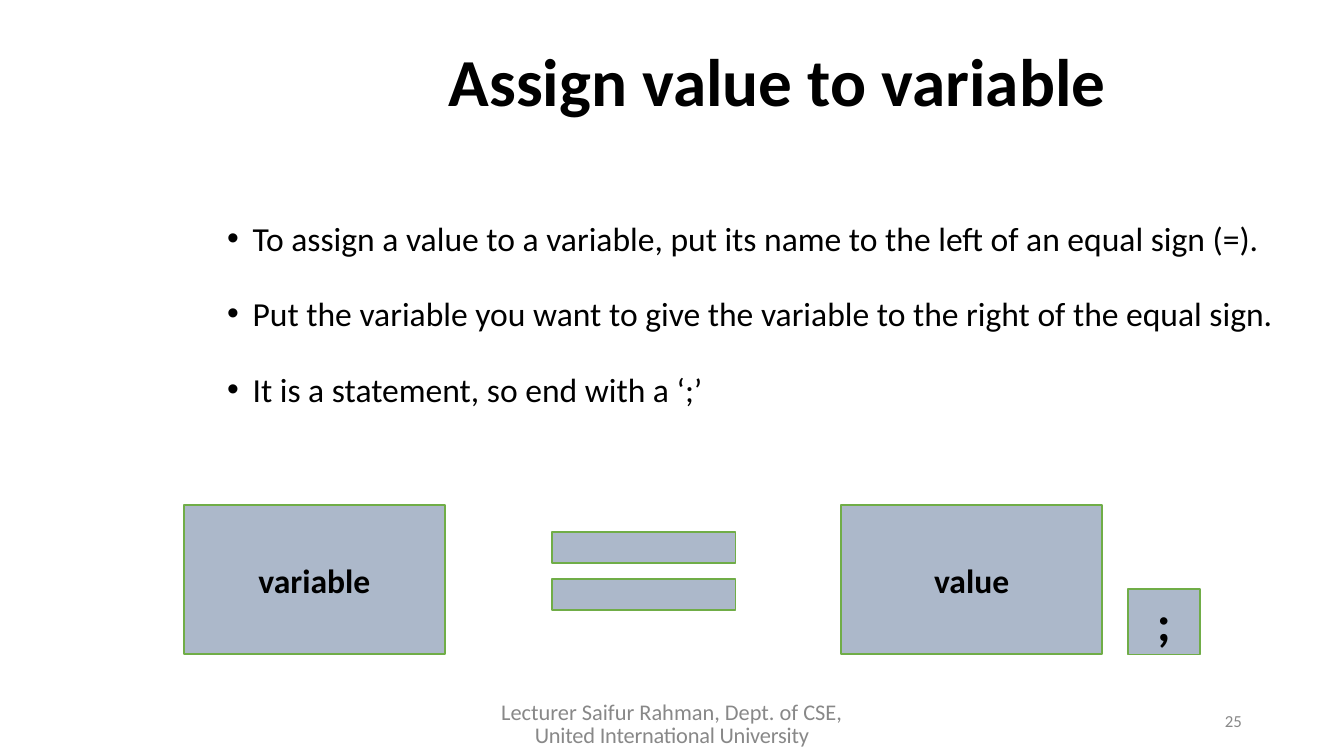
from dataclasses import dataclass

from lxml.etree import SubElement
from pptx import Presentation
from pptx.dml.color import RGBColor
from pptx.enum.shapes import MSO_SHAPE
from pptx.enum.text import MSO_ANCHOR, PP_ALIGN
from pptx.oxml.ns import qn
from pptx.shapes.autoshape import Shape
from pptx.slide import Slide
from pptx.text.text import TextFrame, _Paragraph, _Run
from pptx.util import Inches, Pt


@dataclass(frozen=True)
class Theme:
    font: str = "Calibri"
    ink: RGBColor = RGBColor(0x00, 0x00, 0x00)
    muted: RGBColor = RGBColor(0x88, 0x88, 0x88)
    fill: RGBColor = RGBColor(0xAC, 0xB8, 0xCA)
    outline: RGBColor = RGBColor(0x70, 0xAD, 0x47)
    title_size: int = 36
    body_size: int = 18
    semicolon_size: int = 27
    footer_size: int = 12
    number_size: int = 9


@dataclass(frozen=True)
class Area:
    left: float
    top: float
    width: float
    height: float


@dataclass(frozen=True)
class Block:
    text: str
    area: Area
    size: int


THEME = Theme()
BLOCK_TOP, BLOCK_WIDTH, BLOCK_HEIGHT = 3.76, 1.94, 1.11
BLOCKS = [
    Block("variable", Area(1.37, BLOCK_TOP, BLOCK_WIDTH, BLOCK_HEIGHT), THEME.body_size),
    Block("value", Area(6.26, BLOCK_TOP, BLOCK_WIDTH, BLOCK_HEIGHT), THEME.body_size),
    Block(";", Area(8.39, 4.38, 0.54, 0.49), THEME.semicolon_size),
]
BULLETS = [
    "To assign a value to a variable, put its name to the left of an equal sign (=).",
    "Put the variable you want to give the variable to the right of the equal sign.",
    "It is a statement, so end with a ‘;’",
]


def place(shape: Shape, area: Area) -> None:
    shape.left, shape.top = Inches(area.left), Inches(area.top)
    shape.width, shape.height = Inches(area.width), Inches(area.height)


def set_frame(frame: TextFrame, anchor: MSO_ANCHOR, side: float = 0.07, top: float = 0.04) -> None:
    frame.word_wrap = True
    frame.vertical_anchor = anchor
    frame.margin_left = frame.margin_right = Inches(side)
    frame.margin_top = Inches(top)
    frame.margin_bottom = Inches(min(top, 0.04))


def add_span(para: _Paragraph, text: str, size: int, color: RGBColor, bold: bool = False) -> _Run:
    span = para.add_run()
    span.text = text
    span.font.name = THEME.font
    span.font.size = Pt(size)
    span.font.bold = bold
    span.font.color.rgb = color
    return span


def add_box(page: Slide, area: Area) -> Shape:
    box = page.shapes.add_textbox(0, 0, 0, 0)
    place(box, area)
    return box


def add_preset(page: Slide, preset: MSO_SHAPE, area: Area) -> Shape:
    shape = page.shapes.add_shape(preset, 0, 0, 0, 0)
    place(shape, area)
    shape.shadow.inherit = False
    shape.fill.solid()
    shape.fill.fore_color.rgb = THEME.fill
    shape.line.color.rgb = THEME.outline
    shape.line.width = Pt(1)
    return shape


def add_block(page: Slide, block: Block) -> None:
    shape = add_preset(page, MSO_SHAPE.RECTANGLE, block.area)
    set_frame(shape.text_frame, MSO_ANCHOR.MIDDLE)
    para = shape.text_frame.paragraphs[0]
    para.alignment = PP_ALIGN.CENTER
    add_span(para, block.text, block.size, THEME.ink, bold=True)


def add_title(page: Slide) -> None:
    title = page.shapes.title
    place(title, Area(2.13, 0.29, 7.31, 0.68))
    set_frame(title.text_frame, MSO_ANCHOR.MIDDLE)
    para = title.text_frame.paragraphs[0]
    para.alignment = PP_ALIGN.CENTER
    para.line_spacing = 0.9
    add_span(para, "Assign value to variable", THEME.title_size, THEME.ink, bold=True)


def add_bullets(page: Slide) -> None:
    frame = add_box(page, Area(1.62, 1.19, 8.14, 3.94)).text_frame
    set_frame(frame, MSO_ANCHOR.TOP, top=0.28)
    for index, text in enumerate(BULLETS):
        para = frame.add_paragraph() if index else frame.paragraphs[0]
        para.line_spacing = 1.5
        para.space_before = Pt(8 if index else 0)
        properties = para._p.get_or_add_pPr()
        properties.set("marL", str(Inches(0.19)))
        properties.set("indent", str(-Inches(0.19)))
        SubElement(properties, qn("a:buFont")).set("typeface", "Arial")
        SubElement(properties, qn("a:buChar")).set("char", "•")
        add_span(para, text, THEME.body_size, THEME.ink)


def add_footer(page: Slide) -> None:
    number = add_box(page, Area(7.06, 5.21, 2.25, 0.3)).text_frame
    set_frame(number, MSO_ANCHOR.MIDDLE)
    para = number.paragraphs[0]
    para.alignment = PP_ALIGN.RIGHT
    add_span(para, "25", THEME.number_size, THEME.muted)

    credit = add_box(page, Area(3.53, 5.22, 2.94, 0.34)).text_frame
    set_frame(credit, MSO_ANCHOR.TOP, side=0, top=0)
    para = credit.paragraphs[0]
    para.alignment = PP_ALIGN.CENTER
    para.line_spacing = Pt(12.4)
    add_span(para, "Lecturer Saifur Rahman, Dept. of CSE, ", THEME.footer_size, THEME.muted)
    school = add_span(para, "United International University", THEME.footer_size, THEME.muted)
    school._r.get_or_add_rPr().set("spc", "-10")


def main() -> None:
    deck = Presentation()
    deck.slide_width = Inches(10)
    deck.slide_height = deck.slide_width * 9 // 16
    page = deck.slides.add_slide(deck.slide_layouts[5])
    add_title(page)
    add_bullets(page)
    add_preset(page, MSO_SHAPE.MATH_EQUAL, Area(3.86, BLOCK_TOP, 1.86, 0.98))
    for block in BLOCKS:
        add_block(page, block)
    add_footer(page)
    deck.save("out.pptx")


if __name__ == "__main__":
    main()
